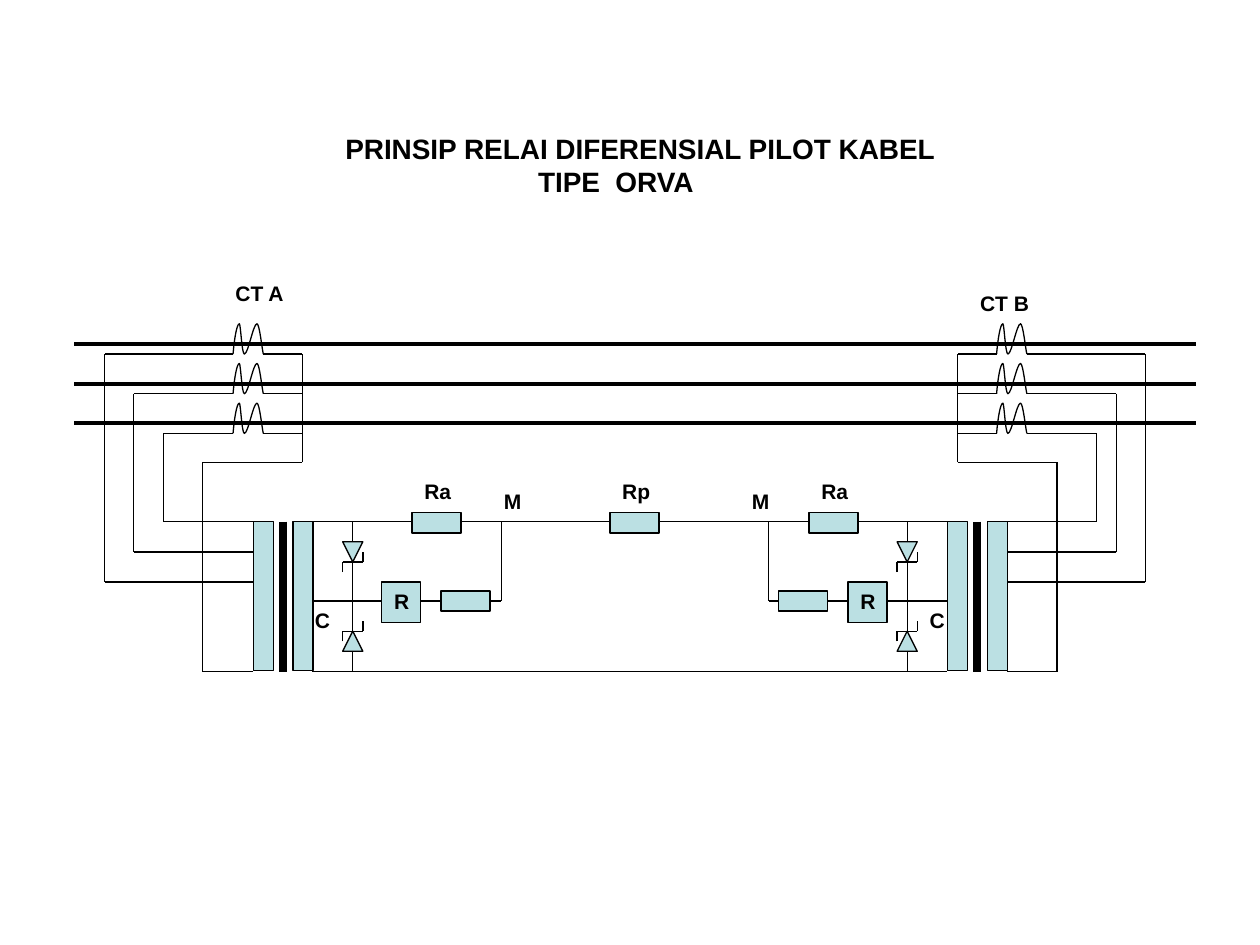
from dataclasses import dataclass

from lxml.etree import SubElement
from pptx import Presentation
from pptx.dml.color import RGBColor
from pptx.enum.shapes import MSO_CONNECTOR as Connector, MSO_SHAPE as Shape
from pptx.enum.text import MSO_ANCHOR as Anchor, MSO_AUTO_SIZE as AutoSize, PP_ALIGN as Align
from pptx.oxml.ns import qn
from pptx.util import Inches, Pt

BLACK = RGBColor(0x00, 0x00, 0x00)
PALE_BLUE = RGBColor(0xBB, 0xE0, 0xE3)
FONT = "Arial"

PHASE_PITCH = 0.315
COIL_HEIGHT = 0.24
COIL_CURVE = [
    (0, 0.24), (0.01, 0.12), (0.03, 0), (0.05, 0), (0.06, 0), (0.07, 0.24), (0.09, 0.24),
    (0.12, 0.24), (0.16, 0), (0.19, 0), (0.21, 0), (0.23, 0.2), (0.24, 0.24),
]
WINDING_WIDTH = 0.16
WINDING_HEIGHT = 1.18
RESISTOR_WIDTH = 0.39
RESISTOR_HEIGHT = 0.16
RELAY_WIDTH = 0.31
RELAY_HEIGHT = 0.32
DIODE_SIZE = 0.16
TICK = 0.08

PILOT_TOP = 4.14
PILOT_MIDDLE = 4.77
PILOT_BOTTOM = 5.33


@dataclass
class Terminal:
    coil_left: float
    coil_outer: float
    coil_inner: float
    phase_columns: tuple
    common_column: float
    return_column: float
    winding_edge: float
    transformer_left: float
    diode_column: float
    relay_left: float
    relay_resistor_left: float
    pilot_edge: float
    branch_column: float


TERMINAL_A = Terminal(1.85, 1.85, 2.09, (0.83, 1.06, 1.3), 2.4, 1.61, 2.01,
                      2.01, 2.8, 3.03, 3.5, 2.48, 3.98)
TERMINAL_B = Terminal(7.91, 8.15, 7.91, (9.09, 8.86, 8.7), 7.6, 8.39, 7.99,
                      7.52, 7.2, 6.73, 6.18, 7.52, 6.1)


def draw_wire(slide, *points, width=0.75):
    for start, end in zip(points, points[1:]):
        line = slide.shapes.add_connector(Connector.STRAIGHT, *map(Inches, start + end))
        line.line.color.rgb = BLACK
        line.line.width = Pt(width)
        SubElement(line._element.spPr, qn("a:effectLst"))


def draw_part(slide, kind, left, top, width, height):
    shape = slide.shapes.add_shape(kind, *map(Inches, (left, top, width, height)))
    shape.shadow.inherit = False
    shape.fill.solid()
    shape.fill.fore_color.rgb = PALE_BLUE
    shape.line.color.rgb = BLACK
    shape.line.width = Pt(0.75)


def format_text(text_frame, size):
    for paragraph in text_frame.paragraphs:
        paragraph.alignment = Align.LEFT
        for run in paragraph.runs:
            run.font.name = FONT
            run.font.size = Pt(size)
            run.font.bold = True
            run.font.color.rgb = BLACK


def place_label(slide, text, left, top, width):
    box = slide.shapes.add_textbox(*map(Inches, (left, top, width, 0.3)))
    box.text_frame.text = text
    box.text_frame.word_wrap = False
    box.text_frame.auto_size = AutoSize.SHAPE_TO_FIT_TEXT
    format_text(box.text_frame, 12)


def place_title(slide, left, top, width, height):
    title = slide.shapes.title
    title.left, title.top, title.width, title.height = map(Inches, (left, top, width, height))
    text_frame = title.text_frame
    text_frame.text = "PRINSIP RELAI DIFERENSIAL PILOT KABEL\nTIPE  ORVA"
    text_frame.word_wrap = False
    text_frame.auto_size = AutoSize.NONE
    text_frame.vertical_anchor = Anchor.TOP
    format_text(text_frame, 16)
    text_frame.paragraphs[1]._p.get_or_add_pPr().set("marL", str(Inches(1.53)))


def draw_phases(slide, left, top, width):
    for phase in range(3):
        y = top + phase * PHASE_PITCH
        draw_wire(slide, (left, y), (left + width, y), width=2.25)


def draw_coil(slide, left, top):
    points = [(Inches(left + x), Inches(top + y)) for x, y in COIL_CURVE]
    builder = slide.shapes.build_freeform(*points[0])
    builder.add_line_segments(points[1:], close=False)
    coil = builder.convert_to_shape()
    coil.shadow.inherit = False
    coil.fill.background()
    coil.line.color.rgb = BLACK
    coil.line.width = Pt(0.75)
    segments = list(coil._element.iter(qn("a:lnTo")))
    outline = segments[0].getparent()
    for index in range(0, len(segments), 3):
        curve = SubElement(outline, qn("a:cubicBezTo"))
        for segment in segments[index:index + 3]:
            curve.append(segment[0])
            outline.remove(segment)


def draw_current_transformers(slide, terminal, top):
    for phase, column in enumerate(terminal.phase_columns):
        coil_top = top + phase * PHASE_PITCH
        foot = coil_top + COIL_HEIGHT
        tap = PILOT_TOP + (2 - phase) * 0.24
        draw_coil(slide, terminal.coil_left, coil_top)
        draw_wire(slide, (terminal.coil_outer, foot), (column, foot), (column, tap),
                  (terminal.winding_edge, tap))
        draw_wire(slide, (terminal.coil_inner, foot), (terminal.common_column, foot))
    draw_wire(slide, (terminal.common_column, top + COIL_HEIGHT),
              (terminal.common_column, 3.67), (terminal.return_column, 3.67),
              (terminal.return_column, PILOT_BOTTOM), (terminal.winding_edge, PILOT_BOTTOM))


def draw_transformer(slide, left, top):
    for offset in (0, 0.315):
        draw_part(slide, Shape.RECTANGLE, left + offset, top, WINDING_WIDTH, WINDING_HEIGHT)
    core = left + 0.235
    draw_wire(slide, (core, top), (core, PILOT_BOTTOM), width=4.5)


def draw_diodes(slide, center, top, bottom):
    left, right = center - DIODE_SIZE / 2, center + DIODE_SIZE / 2
    upper, lower = top + 0.16, bottom - 0.16 - DIODE_SIZE
    draw_wire(slide, (center, top), (center, upper))
    draw_wire(slide, (center, upper + DIODE_SIZE), (center, lower))
    draw_wire(slide, (center, lower + DIODE_SIZE), (center, bottom))
    for kind, diode_top, bar in ((Shape.FLOWCHART_MERGE, upper, upper + DIODE_SIZE),
                                 (Shape.FLOWCHART_EXTRACT, lower, lower)):
        draw_part(slide, kind, left, diode_top, DIODE_SIZE, DIODE_SIZE)
        draw_wire(slide, (left, bar + TICK), (left, bar), (right, bar), (right, bar - TICK))


def draw_resistor(slide, left, middle):
    draw_part(slide, Shape.RECTANGLE, left, middle - RESISTOR_HEIGHT / 2,
              RESISTOR_WIDTH, RESISTOR_HEIGHT)


def draw_relay_branch(slide, terminal, top, middle):
    draw_wire(slide, (terminal.pilot_edge, middle), (terminal.branch_column, middle),
              (terminal.branch_column, top))
    draw_resistor(slide, terminal.relay_resistor_left, middle)
    draw_part(slide, Shape.RECTANGLE, terminal.relay_left, middle - RELAY_HEIGHT / 2 + 0.01,
              RELAY_WIDTH, RELAY_HEIGHT)
    place_label(slide, "R", terminal.relay_left, middle - 0.15, 0.32)


def draw_pilot_cable(slide, left, top, right, bottom):
    draw_wire(slide, (left, top), (right, top))
    draw_wire(slide, (left, bottom), (right, bottom))
    for text, resistor_left in (("Ra", 3.27), ("Rp", 4.84), ("Ra", 6.42)):
        draw_resistor(slide, resistor_left, top + 0.01)
        place_label(slide, text, resistor_left, top - 0.39, 0.43)


def main():
    presentation = Presentation()
    presentation.slide_width, presentation.slide_height = Inches(10), Inches(7.5)
    slide = presentation.slides.add_slide(presentation.slide_layouts[5])
    place_title(slide, 2.64, 0.99, 4.89, 0.64)
    draw_phases(slide, 0.59, 2.73, 8.9)
    draw_pilot_cable(slide, 2.48, PILOT_TOP, 7.52, PILOT_BOTTOM)
    for terminal in (TERMINAL_A, TERMINAL_B):
        draw_current_transformers(slide, terminal, 2.57)
        draw_transformer(slide, terminal.transformer_left, PILOT_TOP)
        draw_relay_branch(slide, terminal, PILOT_TOP, PILOT_MIDDLE)
        draw_diodes(slide, terminal.diode_column, PILOT_TOP, PILOT_BOTTOM)
    for text, left, top, width in (("CT A", 1.77, 2.18, 0.59), ("CT B", 7.68, 2.26, 0.59),
                                   ("M", 3.9, 3.83, 0.34), ("M", 5.87, 3.83, 0.34),
                                   ("C", 2.4, 4.77, 0.32), ("C", 7.28, 4.77, 0.32)):
        place_label(slide, text, left, top, width)
    presentation.save("out.pptx")


if __name__ == "__main__":
    main()
